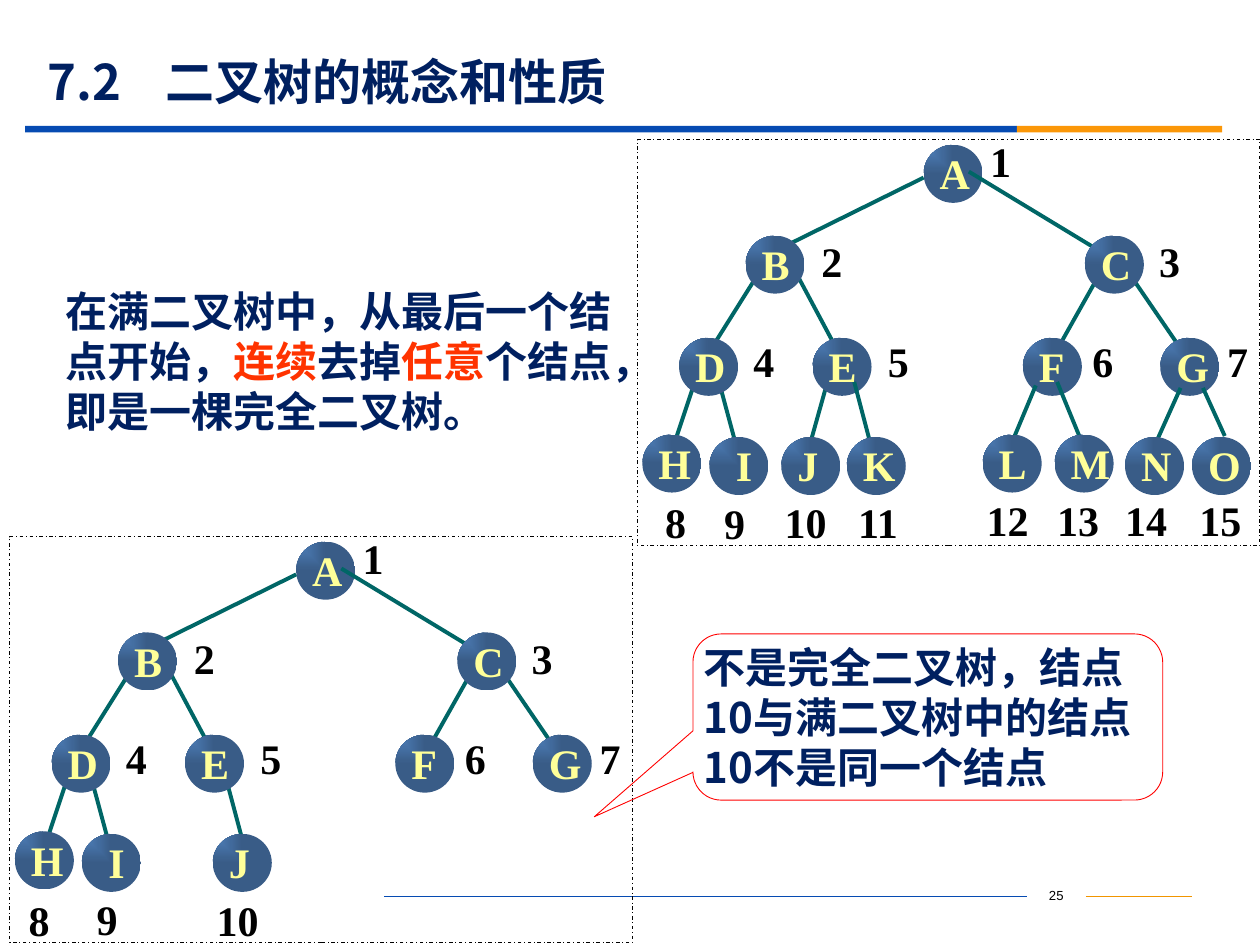
from lxml.etree import SubElement
from pptx import Presentation
from pptx.dml.color import RGBColor
from pptx.enum.dml import MSO_LINE
from pptx.enum.shapes import MSO_CONNECTOR, MSO_SHAPE
from pptx.enum.text import MSO_ANCHOR, MSO_AUTO_SIZE, PP_ALIGN
from pptx.oxml.ns import qn
from pptx.util import Cm, Pt

COLORS = {
    "navy": "002060", "red": "FF3300", "outline": "FF0000", "black": "000000",
    "blue": "064BB2", "orange": "FB9708", "amber": "F19500",
    "edge": "006666", "letter": "FFFF99", "light": "4F81BD", "dark": "395C87",
}
CHINESE = "Noto Sans CJK SC"
SERIF = "Times New Roman"
NODE_SIZE = (1.19, 1.17)
FRAME_SIZE = (12.55, 8.18)

ROOT = ("A", 5.77, 0.1)
UPPER_NODES = [
    ("B", 2.18, 1.93), ("C", 9.02, 1.93),
    ("D", 0.84, 3.99), ("E", 3.53, 3.99), ("F", 7.77, 3.99), ("G", 10.54, 3.99),
    ("H", 0.1, 5.94), ("I", 1.45, 5.99),
]
UPPER_LABELS = [
    ("1", 7.11, -0.13), ("2", 3.71, 1.88), ("3", 10.52, 1.88),
    ("4", 2.34, 3.89), ("5", 5.05, 3.89), ("6", 9.17, 3.89), ("7", 11.89, 3.89),
    ("9", 1.75, 7.15),
]
UPPER_EDGES = [
    (5.77, 0.76, 3, 2.13), (6.68, 0.64, 9.27, 2.21),
    (2.41, 2.74, 1.55, 4.11), (3.23, 2.74, 3.96, 4.11),
    (9.27, 2.79, 8.51, 4.14), (9.98, 2.79, 10.87, 4.09),
    (1.14, 4.93, 0.76, 6.07), (1.65, 4.9, 1.96, 6.05),
]
SMALL_TREE = {
    "corner": (0.2, 10.82),
    "nodes": [("J", 4.09, 5.99)],
    "labels": [("8", 0.38, 7.16), ("10", 4.17, 7.16)],
    "edges": [(4.39, 5, 4.67, 6.05)],
    "leaves": [],
}
FULL_TREE = {
    "corner": (12.85, 2.82),
    "nodes": [("J", 2.9, 5.99)],
    "labels": [("8", 0.56, 7.13), ("10", 2.97, 7.14)],
    "edges": [(3.81, 4.95, 3.51, 6.02)],
    "leaves": [
        ((4.37, 4.88, 4.67, 6.02), ("K", 4.22, 5.99), ("11", 4.45, 7.14)),
        ((8.03, 4.95, 7.57, 6.05), ("L", 6.96, 5.94), ("12", 7.04, 7.09)),
        ((8.46, 4.88, 8.94, 6.05), ("M", 8.41, 5.94), ("13", 8.46, 7.09)),
        ((10.95, 5, 10.49, 6.02), ("N", 9.83, 5.99), ("14", 9.83, 7.09)),
        ((11.4, 5, 11.84, 5.97), ("O", 11.18, 5.99), ("15", 11.33, 7.09)),
    ],
}


def color(name):
    return RGBColor.from_string(COLORS[name])


class Painter:
    def __init__(self, page):
        self.page = page

    def fill_text(self, box, spans, font=SERIF, size=24, bold=True, spacing=None,
                  align=PP_ALIGN.LEFT, anchor=MSO_ANCHOR.TOP, insets=(0, 0, 0, 0)):
        frame = box.text_frame
        frame.word_wrap = True
        frame.auto_size = MSO_AUTO_SIZE.NONE
        frame.vertical_anchor = anchor
        (frame.margin_left, frame.margin_top,
         frame.margin_right, frame.margin_bottom) = map(Cm, insets)
        para = frame.paragraphs[0]
        para.alignment = align
        para.line_spacing = spacing
        for text, tone in spans:
            span = para.add_run()
            span.text = text
            span.font.size = Pt(size)
            span.font.bold = bold
            span.font.color.rgb = color(tone)
            span.font.name = font
            SubElement(span.font._element, qn("a:ea"), typeface=font)

    def title(self, number, text):
        box = self.page.shapes.title
        box.left, box.top, box.width, box.height = map(Cm, (0.71, 1.09, 22.86, 1.09))
        properties = box.text_frame.paragraphs[0]._p.get_or_add_pPr()
        stops = SubElement(properties, qn("a:tabLst"))
        SubElement(stops, qn("a:tab"), pos=str(Cm(2.38)), algn="l")
        self.fill_text(box, [(f"{number}\t{text}", "navy")], CHINESE, 28,
                       anchor=MSO_ANCHOR.MIDDLE, insets=(0.25, 0.13, 0.25, 0.13))

    def shape(self, kind, left, top, width, height, fill=None, line=None, dash=None):
        box = self.page.shapes.add_shape(kind, *map(Cm, (left, top, width, height)))
        box.shadow.inherit = False
        if fill:
            box.fill.solid()
            box.fill.fore_color.rgb = color(fill)
        else:
            box.fill.background()
        if line:
            box.line.color.rgb = color(line)
            box.line.width = Pt(0.5)
            box.line.dash_style = dash
        else:
            box.line.fill.background()
        return box

    def text(self, left, top, width, height, spans, **style):
        box = self.page.shapes.add_textbox(*map(Cm, (left, top, width, height)))
        self.fill_text(box, spans, **style)

    def line(self, x1, y1, x2, y2, tone="edge", width=2.25):
        link = self.page.shapes.add_connector(
            MSO_CONNECTOR.STRAIGHT, *map(Cm, (x1, y1, x2, y2)))
        link.line.color.rgb = color(tone)
        link.line.width = Pt(width)
        SubElement(link._element.spPr, qn("a:effectLst"))

    def node(self, letter, left, top):
        box = self.shape(MSO_SHAPE.OVAL, left, top, *NODE_SIZE)
        box.fill.gradient()
        for stop, tone, position in zip(box.fill.gradient_stops, ("light", "dark"), (0, 1)):
            stop.color.rgb = color(tone)
            stop.position = position
        gradient = box._element.spPr.find(qn("a:gradFill"))
        gradient.remove(gradient.find(qn("a:lin")))
        shade = SubElement(gradient, qn("a:path"), {"path": "rect"})
        SubElement(shade, qn("a:fillToRect"), r="100000", b="100000")
        inset = 0.36 if letter == "I" else 0.15
        self.fill_text(box, [(letter, "letter")], spacing=0.9, insets=(inset, 0, 0, 0))

    def label(self, number, left, top):
        width = 0.69 if len(number) == 1 else 1.07
        self.text(left, top, width, 1, [(number, "black")],
                  align=PP_ALIGN.JUSTIFY, insets=(0, 0.05, 0, 0))

    def tree(self, corner, nodes, labels, edges, leaves):
        x, y = corner

        def place(item):
            name, left, top = item
            return name, x + left, y + top

        def shift(edge):
            x1, y1, x2, y2 = edge
            return x + x1, y + y1, x + x2, y + y2

        self.shape(MSO_SHAPE.RECTANGLE, x, y, *FRAME_SIZE,
                   line="black", dash=MSO_LINE.DASH_DOT)
        self.node(*place(ROOT))
        for item in UPPER_LABELS + labels:
            self.label(*place(item))
        for edge in UPPER_EDGES + edges:
            self.line(*shift(edge))
        for item in UPPER_NODES + nodes:
            self.node(*place(item))
        for edge, item, label in leaves:
            self.line(*shift(edge))
            self.node(*place(item))
            self.label(*place(label))

    def callout(self, text):
        box = self.shape(MSO_SHAPE.ROUNDED_RECTANGULAR_CALLOUT,
                         13.97, 12.78, 9.47, 3.35, line="outline")
        for index, value in enumerate((-0.71, 0.6, 0.17)):
            box.adjustments[index] = value
        self.fill_text(box, [(text, "navy")], CHINESE, spacing=Pt(28.6),
                       anchor=MSO_ANCHOR.MIDDLE, insets=(0.05, 0.03, 0, 0.03))


def main():
    deck = Presentation()
    deck.slide_width, deck.slide_height = Cm(25.4), Cm(19.05)
    painter = Painter(deck.slides.add_slide(deck.slide_layouts[5]))

    painter.title("7.2", "二叉树的概念和性质")
    painter.text(20.7, 17.75, 1.19, 0.64, [("25", "black")], font="Arial", size=7.5,
                 bold=False, align=PP_ALIGN.CENTER, insets=(0.1, 0.13, 0.1, 0.13))
    painter.line(21.89, 18.08, 24.03, 18.08, "amber", 0.75)
    painter.line(7.75, 18.08, 20.7, 18.08, "blue", 0.75)
    painter.shape(MSO_SHAPE.RECTANGLE, 0.51, 2.54, 19.99, 0.13, fill="blue")
    painter.shape(MSO_SHAPE.RECTANGLE, 20.5, 2.54, 4.14, 0.13, fill="orange")

    painter.tree(**SMALL_TREE)
    painter.text(1.32, 5.64, 11.18, 3.33, [
        ("在满二叉树中，从最后一个结点开始，", "navy"),
        ("连续", "red"),
        ("去掉", "navy"),
        ("任意", "red"),
        ("个结点，即是一棵完全二叉树。", "navy"),
    ], font=CHINESE, spacing=Pt(28.6), insets=(0, 0.13, 0, 0.13))
    painter.tree(**FULL_TREE)
    painter.callout("不是完全二叉树，结点10与满二叉树中的结点10不是同一个结点")

    deck.save("out.pptx")


if __name__ == "__main__":
    main()
